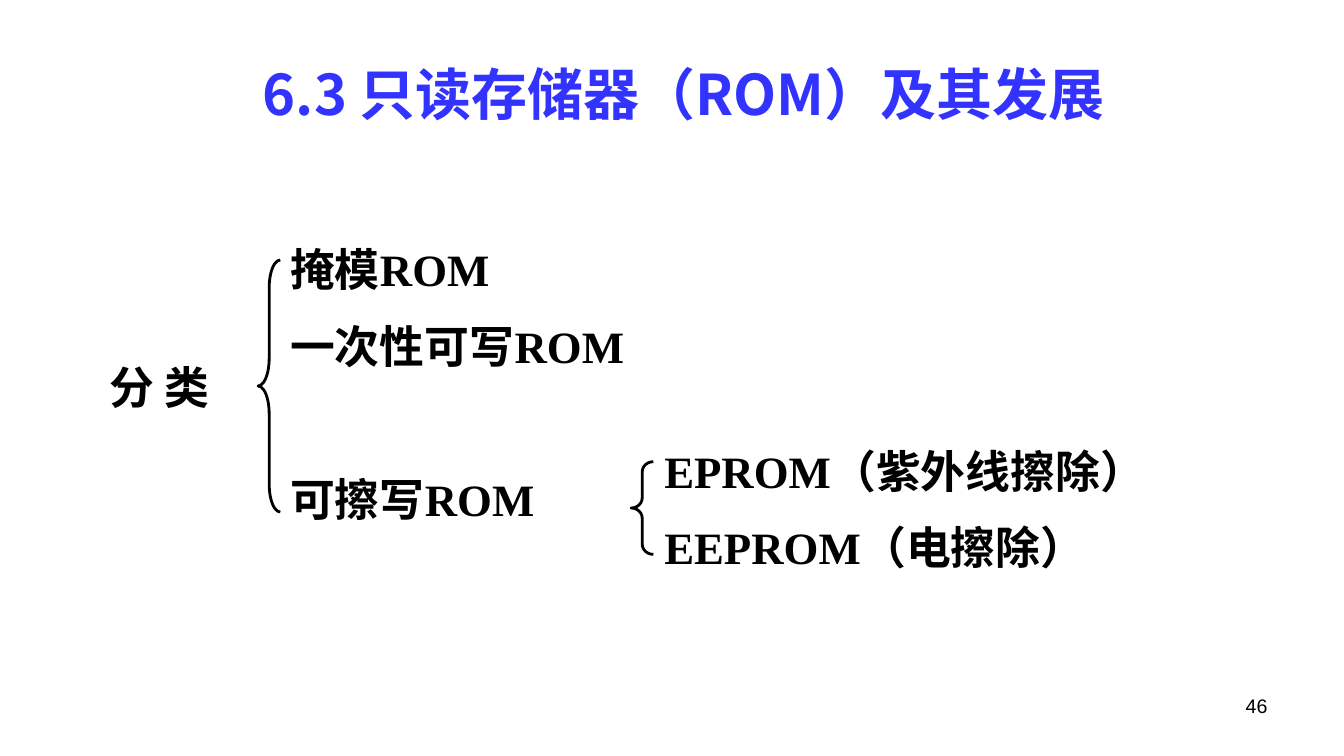
from pptx import Presentation
from pptx import util as u
from pptx.dml.color import RGBColor
from pptx.enum import shapes, text
from pptx.oxml.ns import qn
from lxml import etree

COLORS = {"title": "3333FF", "ink": "000000"}
LINE = 40   # height of one line of the tree, in points
ROW = 54.6  # distance between the rows of the tree, in points

prs = Presentation()
prs.slide_width, prs.slide_height = u.Inches(13.33), u.Inches(7.5)
slide = prs.slides.add_slide(prs.slide_layouts[5])


def style(paragraph, font_name, size, color, bold=True):
    font = paragraph.font
    font.name, font.size, font.bold = font_name, u.Pt(size), bold
    font.color.rgb = RGBColor.from_string(COLORS[color])


def add_label(box, rows):
    """Add a text box whose paragraphs are (text, rows below the one before)."""
    frame = slide.shapes.add_textbox(*map(u.Inches, box)).text_frame
    frame.word_wrap = True
    for i, (words, step) in enumerate(rows):
        paragraph = frame.add_paragraph() if i else frame.paragraphs[0]
        paragraph.text = words
        paragraph.line_spacing = u.Pt(LINE)
        paragraph.space_before = u.Pt(step * ROW - LINE if step else 0)
        style(paragraph, "Times New Roman", 32, "ink")


title = slide.shapes.title
title.left, title.top, title.width, title.height = map(u.Inches, (1, 0.41, 11.56, 1.02))
title.text_frame.vertical_anchor = text.MSO_ANCHOR.MIDDLE
heading = title.text_frame.paragraphs[0]
heading.text = "6.3 只读存储器（ROM）及其发展"
heading.alignment = text.PP_ALIGN.CENTER
style(heading, "Noto Sans CJK SC", 40, "title")
# The Chinese characters take their font from a:ea, next to a:latin
latin = heading.font._element.find(qn("a:latin"))
east_asian = etree.Element(qn("a:ea"), typeface="Noto Sans CJK SC")
latin.addnext(east_asian)

add_label((2.78, 2.33, 5, 3.03), [("掩模ROM", 0), ("一次性可写ROM", 1), ("可擦写ROM", 2)])
add_label((0.99, 3.5, 1.75, 0.63), [("分 类", 0)])
add_label((6.49, 4.33, 6.67, 1.43), [("EPROM（紫外线擦除）", 0), ("EEPROM（电擦除）", 1)])

for left, top, height, curl in [(2.56, 2.58, 2.5, 1.25), (6.26, 4.58, 0.92, 0.458)]:
    brace = slide.shapes.add_shape(
        shapes.MSO_SHAPE.LEFT_BRACE, *map(u.Inches, (left, top, 0.22, height)))
    brace.adjustments[0], brace.adjustments[1] = curl, 0.5
    brace.shadow.inherit = False
    brace.fill.background()
    brace.line.color.rgb = RGBColor.from_string(COLORS["ink"])
    brace.line.width = u.Pt(2)

page_box = slide.shapes.add_textbox(*map(u.Inches, (9.56, 6.83, 3.11, 0.52)))
page_box.text_frame.word_wrap = True
page_number = page_box.text_frame.paragraphs[0]
page_number.text = "46"
page_number.alignment = text.PP_ALIGN.RIGHT
style(page_number, "Arial", 14, "ink", bold=False)

prs.save("out.pptx")
